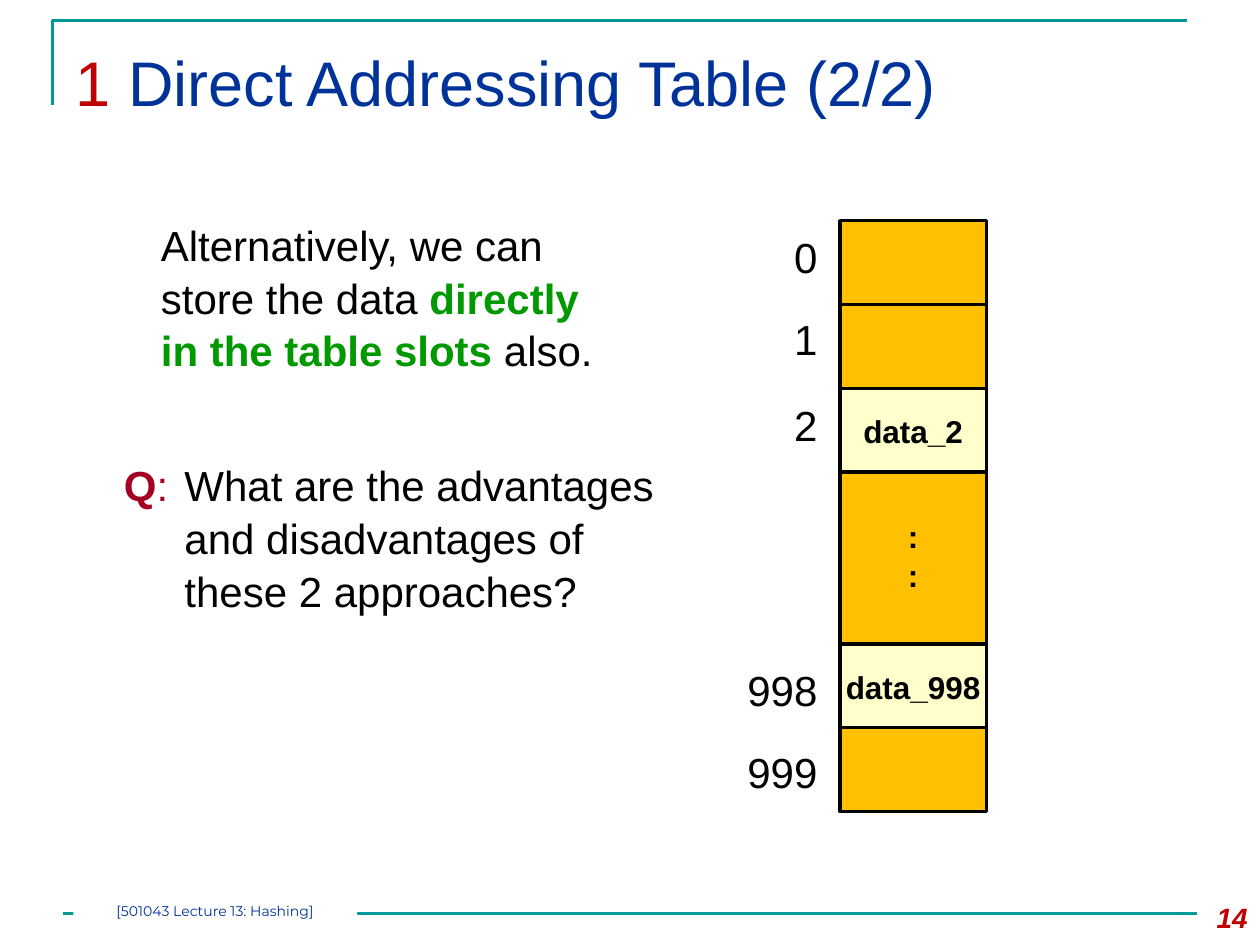
"""Build the slide on direct addressing tables."""
from dataclasses import dataclass

from lxml import etree
from pptx import Presentation
from pptx import util as u
from pptx.dml.color import RGBColor
from pptx.enum import shapes as sh, text as tx
from pptx.oxml import ns

Cm, Pt = u.Cm, u.Pt
HUES = {"teal": "009999", "navy": "003399", "red": "C00000", "wine": "A50021",
        "green": "009900", "gold": "FFC000", "cream": "FFFFCC",
        "black": "000000", "white": "FFFFFF"}
LEFT, MID, RIGHT = tx.PP_ALIGN.LEFT, tx.PP_ALIGN.CENTER, tx.PP_ALIGN.RIGHT
STEP, TOP, LOW = 1.69, 4.45, 12.98


@dataclass
class Run:
    text: str
    hue: str = "black"
    bold: bool = False


@dataclass
class Slot:
    top: float
    hue: str = "gold"
    lines: tuple = ()
    tall: float = STEP


@dataclass
class Label:
    text: str
    top: float


SLOTS = [Slot(9.37, lines=(":", ":"), tall=3.61),
         Slot(TOP), Slot(TOP + STEP), Slot(TOP + 2 * STEP, "cream", ("data_2",)),
         Slot(LOW, "cream", ("data_998",)), Slot(LOW + STEP)]
LABELS = [Label("0", 4.5), Label("1", 6.15), Label("2", 7.87),
          Label("998", 13.23), Label("999", 14.88)]


def tint(hue: str) -> RGBColor:
    """Return the named colour."""
    return RGBColor.from_string(HUES[hue])


def place(shape, left: float, top: float, wide: float, tall: float) -> None:
    """Move and size a shape in centimetres."""
    shape.left, shape.top = Cm(left), Cm(top)
    shape.width, shape.height = Cm(wide), Cm(tall)


def style(para, size: float, hue: str = "black", bold: bool = False,
          align=LEFT, face: str = "Arial") -> None:
    """Set the look that a whole paragraph shares."""
    para.alignment = align
    font = para.font
    font.name, font.size, font.bold = face, Pt(size), bold
    font.color.rgb = tint(hue)


def fill_runs(para, runs: list[Run]) -> None:
    """Add runs that differ in colour or weight."""
    for item in runs:
        run = para.add_run()
        run.text = item.text
        run.font.bold = item.bold
        run.font.color.rgb = tint(item.hue)


def hang(para, left: float, first: float, tab: bool = False) -> None:
    """Set the indent with no bullet, and a tab stop if asked."""
    props = para._p.get_or_add_pPr()
    props.set("marL", str(Cm(left)))
    props.set("indent", str(Cm(first)))
    etree.SubElement(props, ns.qn("a:buNone"))
    if tab:
        stops = etree.SubElement(props, ns.qn("a:tabLst"))
        etree.SubElement(stops, ns.qn("a:tab"), pos=str(Cm(left)), algn="l")


def add_box(slide, left: float, top: float, wide: float, tall: float):
    """Add a wrapping text box and return its first paragraph."""
    frame = slide.shapes.add_textbox(Cm(left), Cm(top), Cm(wide), Cm(tall)).text_frame
    frame.word_wrap = True
    return frame.paragraphs[0]


def add_rect(slide, left: float, top: float, wide: float, tall: float, hue: str):
    """Add a flat filled rectangle."""
    rect = slide.shapes.add_shape(sh.MSO_SHAPE.RECTANGLE, Cm(left), Cm(top),
                                  Cm(wide), Cm(tall))
    rect.shadow.inherit = False
    rect.fill.solid()
    rect.fill.fore_color.rgb = tint(hue)
    return rect


def add_slot(slide, slot: Slot) -> None:
    """Draw one slot of the table."""
    rect = add_rect(slide, 16.93, slot.top, 2.96, slot.tall, slot.hue)
    rect.line.color.rgb = tint("black")
    rect.line.width = Pt(2)
    if slot.lines:
        frame = rect.text_frame
        frame.word_wrap = False
        frame.vertical_anchor = tx.MSO_ANCHOR.MIDDLE
        frame.text = "\n".join(slot.lines)
        for para in frame.paragraphs:
            style(para, 18, bold=True, align=MID)
            para.line_spacing = 1.05


def add_label(slide, label: Label) -> None:
    """Write the index beside a slot."""
    para = add_box(slide, 14.4, label.top, 2.33, 1.27)
    para.text = label.text
    style(para, 24, align=RIGHT)
    para.line_spacing = 1.05


def add_frame(slide) -> None:
    """Draw the corner rule and the footer rule."""
    pen = slide.shapes.build_freeform(Cm(1.06), Cm(2.12))
    pen.add_line_segments([(Cm(1.06), Cm(0.42)), (Cm(23.92), Cm(0.42))], close=False)
    edge = pen.convert_to_shape()
    edge.shadow.inherit = False
    edge.fill.background()
    rule = slide.shapes.add_connector(sh.MSO_CONNECTOR.STRAIGHT, Cm(1.27), Cm(18.42),
                                      Cm(24.13), Cm(18.42))
    etree.SubElement(rule._element.spPr, ns.qn("a:effectLst"))
    for item in (edge, rule):
        item.line.color.rgb = tint("teal")
        item.line.width = Pt(1.5)


def add_title(slide) -> None:
    """Fill the title placeholder."""
    title = slide.shapes.title
    place(title, 1.27, 0.55, 22.86, 2.18)
    title.text_frame.vertical_anchor = tx.MSO_ANCHOR.MIDDLE
    para = title.text_frame.paragraphs[0]
    style(para, 36)
    fill_runs(para, [Run("1 ", "red"), Run("Direct Addressing Table (2/2)", "navy")])


def add_body(slide) -> None:
    """Fill the body placeholder and ask the question below it."""
    body = slide.placeholders[1]
    place(body, 2.96, 4.24, 9.74, 3.33)
    body.text_frame.auto_size = tx.MSO_AUTO_SIZE.NONE
    para = body.text_frame.paragraphs[0]
    para.space_before = Pt(0)
    para.line_spacing = 1.05
    hang(para, 0.03, 0)
    style(para, 24)
    fill_runs(para, [Run("Alternatively, we can store the data "),
                     Run("directly in the table slots", "green", True),
                     Run(" also.")])
    para = add_box(slide, 2.23, 9.09, 11.96, 3.33)
    para.line_spacing = 1.05
    hang(para, 1.24, -1.22, tab=True)
    style(para, 24)
    fill_runs(para, [Run("Q", "wine", True), Run(":", "wine"),
                     Run("\tWhat are the advantages and disadvantages of "
                         "these 2 approaches?")])


def add_footer(slide) -> None:
    """Write the lecture name and the page number."""
    rect = add_rect(slide, 1.48, 18.2, 5.72, 0.43, "white")
    rect.line.fill.background()
    frame = rect.text_frame
    frame.margin_left = frame.margin_right = frame.margin_top = frame.margin_bottom = 0
    frame.vertical_anchor = tx.MSO_ANCHOR.TOP
    para = frame.paragraphs[0]
    para.text = "[501043 Lecture 13: Hashing]"
    style(para, 8, "navy", align=MID, face="Montserrat")
    page = add_box(slide, 23.7, 18.03, 1.7, 1.02)
    page.text = "14"
    style(page, 16, "red", True, RIGHT)
    page.font.italic = True


def main() -> None:
    """Build and save the deck."""
    deck = Presentation()
    deck.slide_width, deck.slide_height = Cm(25.4), Cm(19.05)
    slide = deck.slides.add_slide(deck.slide_layouts[1])
    add_frame(slide)
    add_title(slide)
    add_body(slide)
    for slot in SLOTS:
        add_slot(slide, slot)
    for label in LABELS:
        add_label(slide, label)
    add_footer(slide)
    deck.save("out.pptx")


if __name__ == "__main__":
    main()
